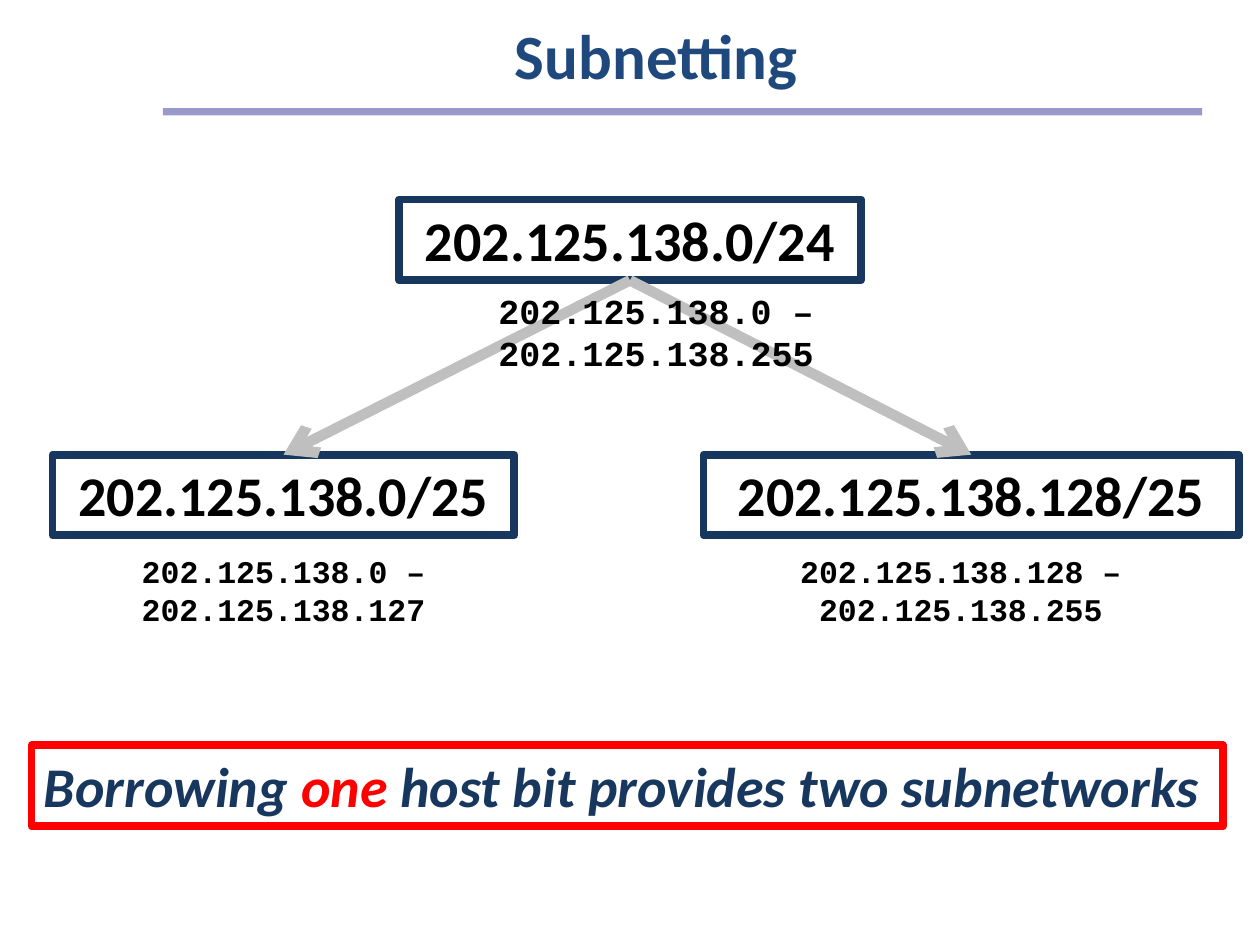
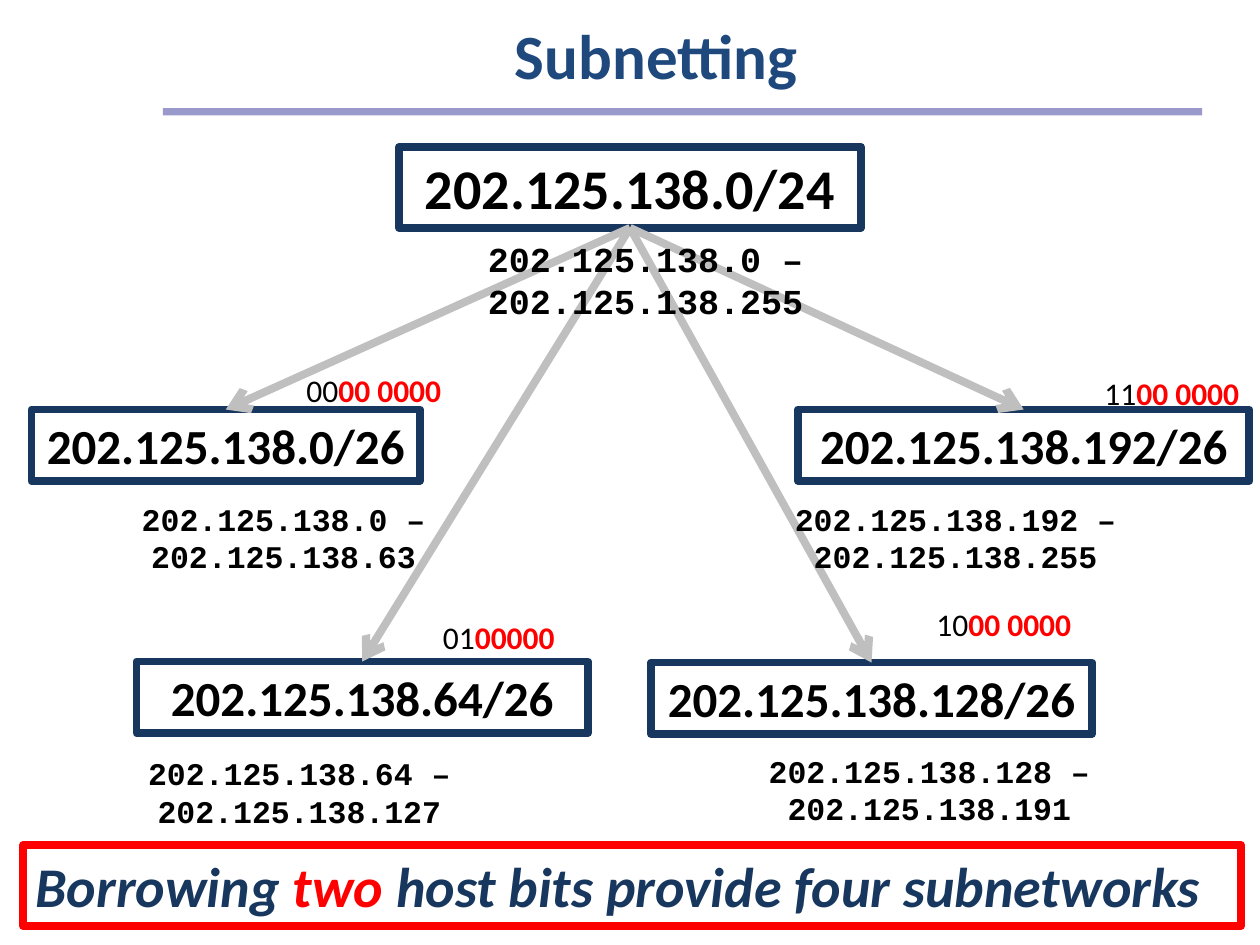
from dataclasses import dataclass

from lxml.etree import SubElement
from pptx import Presentation
from pptx.dml.color import RGBColor
from pptx.enum.shapes import MSO_CONNECTOR as Connector, MSO_SHAPE as Preset
from pptx.enum.text import MSO_ANCHOR as Anchor, PP_ALIGN as Align
from pptx.oxml.ns import qn
from pptx.util import Inches, Pt

COLUMNS, ROWS = 120, 90
WIDTH, HEIGHT = Inches(10), Inches(7.5)
BOTTOM, TOP = 2, 0

COLORS = {
    "title": "1F497D",
    "band": "9999CC",
    "frame": "17375E",
    "text": "000000",
    "accent": "FF0000",
    "arrow": "BFBFBF",
}

TITLE = {"name": "Calibri", "size": Pt(36), "bold": True}
ROOT = {"name": "Calibri", "size": Pt(32), "bold": True}
SUBNET = {**ROOT, "size": Pt(28)}
ROOT_RANGE = {"name": "Courier New", "size": Pt(20), "bold": True}
SUBNET_RANGE = {**ROOT_RANGE, "size": Pt(18)}
NETWORK_BITS = {"name": "Calibri", "size": Pt(18)}
HOST_BITS = {**NETWORK_BITS, "bold": True}
BANNER = {**ROOT, "italic": True}


@dataclass
class Network:
    address: str
    frame: tuple
    range_text: str
    range_offset: tuple
    style: dict
    range_style: dict
    bits: tuple = ()
    bits_offset: tuple = ()


def rgb(name):
    return RGBColor.from_string(COLORS[name])


def grid(left, top, width, height):
    return (
        round(left * WIDTH / COLUMNS),
        round(top * HEIGHT / ROWS),
        round(width * WIDTH / COLUMNS),
        round(height * HEIGHT / ROWS),
    )


def write(shape, runs, align, anchor=Anchor.TOP):
    text_frame = shape.text_frame
    text_frame.word_wrap = True
    text_frame.vertical_anchor = anchor
    paragraph = text_frame.paragraphs[0]
    paragraph.alignment = align
    for text, style, color in runs:
        run = paragraph.add_run()
        run.text = text
        for attribute, value in style.items():
            setattr(run.font, attribute, value)
        run.font.color.rgb = rgb(color)


def add_frame(slide, box, color, runs, align):
    shape = slide.shapes.add_shape(Preset.RECTANGLE, *grid(*box))
    shape.shadow.inherit = False
    shape.fill.background()
    shape.line.color.rgb = rgb(color)
    shape.line.width = Pt(4.5)
    write(shape, runs, align)
    return shape


def add_label(slide, frame, offset, runs, align):
    left, top, _, _ = frame
    shift, drop, width = offset
    box = grid(left + shift, top + drop, width, 4.8)
    write(slide.shapes.add_textbox(*box), runs, align)


def add_arrow(slide, parent, child, weight):
    arrow = slide.shapes.add_connector(Connector.STRAIGHT, 0, 0, 0, 0)
    arrow.begin_connect(parent, BOTTOM)
    arrow.end_connect(child, TOP)
    arrow.line.color.rgb = rgb("arrow")
    arrow.line.width = Pt(weight)
    SubElement(arrow.line._get_or_add_ln(), qn("a:tailEnd"), type="arrow")
    SubElement(arrow.element.spPr, qn("a:effectLst"))


def add_tree(slide, networks, weight):
    root, *subnets = [
        add_frame(slide, network.frame, "frame",
                  [(network.address, network.style, "text")], Align.CENTER)
        for network in networks
    ]
    for subnet in subnets:
        add_arrow(slide, root, subnet, weight)
    for network in networks:
        add_label(slide, network.frame, network.range_offset,
                  [(network.range_text, network.range_style, "text")], Align.CENTER)
        if network.bits:
            borrowed, host = network.bits
            add_label(slide, network.frame, network.bits_offset,
                      [(borrowed, NETWORK_BITS, "text"), (host, HOST_BITS, "accent")],
                      Align.LEFT)


def add_banner(slide, box, before, count, after):
    runs = [(before, BANNER, "frame"), (count, BANNER, "accent"), (after, BANNER, "frame")]
    add_frame(slide, box, "accent", runs, Align.LEFT)


def prepare_layout(presentation):
    layout = presentation.slide_layouts.get_by_name("Title Only")
    title = next(shape for shape in layout.placeholders
                 if shape.placeholder_format.idx == 0)
    title.left, title.top, title.width, title.height = grid(17, 1, 91, 8.4)
    return layout


def add_master_band(presentation, slide):
    band = slide.shapes.add_shape(Preset.RECTANGLE, *grid(15.5, 10.3, 99, 0.7))
    band.shadow.inherit = False
    band.fill.solid()
    band.fill.fore_color.rgb = rgb("band")
    band.line.fill.background()
    presentation.slide_master.shapes.element.append(band.element)


def add_subnetting_slide(presentation, layout, networks, weight, banner):
    slide = presentation.slides.add_slide(layout)
    write(slide.shapes.title, [("Subnetting", TITLE, "title")], Align.CENTER, Anchor.MIDDLE)
    add_tree(slide, networks, weight)
    add_banner(slide, *banner)
    return slide


def root_network(top, shift):
    return Network("202.125.138.0/24", (38, top, 44, 7.7),
                   "202.125.138.0 – 202.125.138.255", (shift, 8, 63), ROOT, ROOT_RANGE)


ONE_BIT = [
    root_network(19, -7),
    Network("202.125.138.0/25", (5, 43.3, 44, 7.7),
            "202.125.138.0 – 202.125.138.127", (-5, 8.7, 54), ROOT, SUBNET_RANGE),
    Network("202.125.138.128/25", (67, 43.3, 51, 7.7),
            "202.125.138.128 – 202.125.138.255", (-4, 8.7, 57), ROOT, SUBNET_RANGE),
]

TWO_BITS = [
    root_network(14, -8),
    Network("202.125.138.0/26", (3, 39, 37, 6.8),
            "202.125.138.0 – 202.125.138.63", (-3, 8, 54), SUBNET, SUBNET_RANGE,
            ("00", "00 0000"), (25, -4.3, 28)),
    Network("202.125.138.64/26", (13, 63, 43, 6.8),
            "202.125.138.64 – 202.125.138.127", (-13, 8.2, 57), SUBNET, SUBNET_RANGE,
            ("01", "00000"), (28, -4.7, 14)),
    Network("202.125.138.128/26", (62, 63.1, 42, 6.8),
            "202.125.138.128 – 202.125.138.191", (-2, 7.9, 57), SUBNET, SUBNET_RANGE,
            ("10", "00 0000"), (26, -6.1, 25.8)),
    Network("202.125.138.192/26", (76, 39, 43, 6.8),
            "202.125.138.192 – 202.125.138.255", (-14, 8, 58), SUBNET, SUBNET_RANGE,
            ("11", "00 0000"), (28, -4, 18.6)),
]


def main():
    presentation = Presentation()
    presentation.slide_width, presentation.slide_height = WIDTH, HEIGHT
    layout = prepare_layout(presentation)
    slide = add_subnetting_slide(
        presentation, layout, ONE_BIT, 6,
        ((3, 71, 113.5, 7.7), "Borrowing ", "one", " host bit provides two subnetworks"))
    add_master_band(presentation, slide)
    add_subnetting_slide(
        presentation, layout, TWO_BITS, 4.5,
        ((2.2, 80.5, 116, 7.7), "Borrowing ", "two", " host bits provide four subnetworks"))
    presentation.save("out.pptx")


if __name__ == "__main__":
    main()
